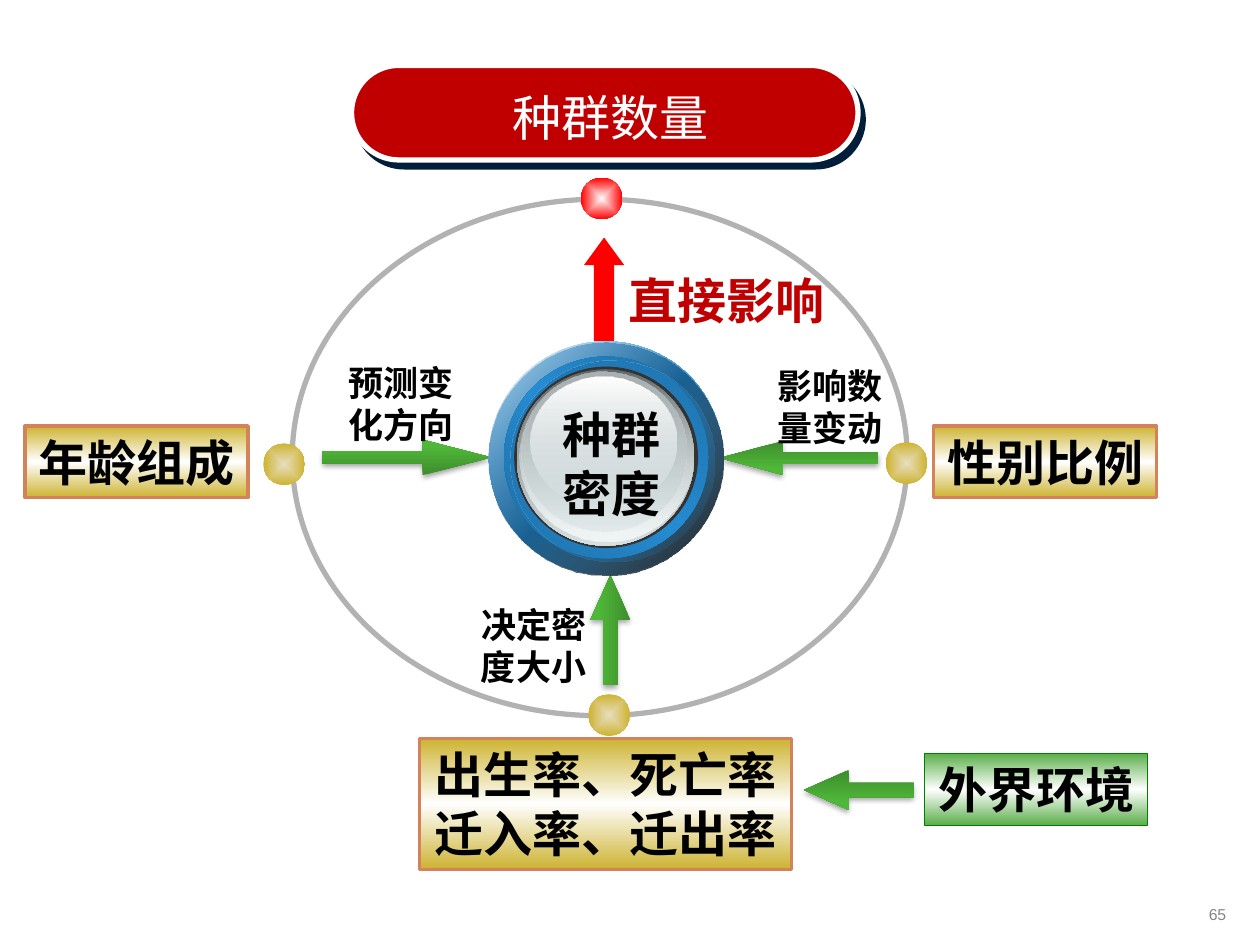
from dataclasses import dataclass
from typing import NamedTuple, Optional

from pptx import Presentation
from pptx.dml.color import RGBColor
from pptx.enum.shapes import MSO_SHAPE
from pptx.enum.text import MSO_ANCHOR, PP_ALIGN
from pptx.oxml import parse_xml
from pptx.oxml.ns import nsdecls, qn
from pptx.util import Pt

RECTANGLE, OVAL = MSO_SHAPE.RECTANGLE, MSO_SHAPE.OVAL
ARROW, PILL = MSO_SHAPE.RIGHT_ARROW, MSO_SHAPE.ROUNDED_RECTANGLE
TOP, MIDDLE = MSO_ANCHOR.TOP, MSO_ANCHOR.MIDDLE
CENTER, RIGHT = PP_ALIGN.CENTER, PP_ALIGN.RIGHT


@dataclass(frozen=True)
class Theme:
    font: str = "Noto Sans CJK SC"
    number_font: str = "Arial"
    large: float = 28
    small: float = 20
    tiny: float = 9
    line_height: float = 1.2
    black: str = "000000"
    white: str = "FFFFFF"
    crimson: str = "C00000"
    red: str = "FF0000"
    gold: str = "CDB331"
    pale_gold: str = "E8DEC1"
    copper: str = "D38259"
    leaf: str = "5BAE4A"
    green: str = "008000"
    ring: str = "B2B2B2"
    navy: str = "001D3A"
    number: str = "858585"
    blue: str = "268CD2"
    deep_blue: str = "1D6BA1"
    charcoal: str = "333333"
    silver: str = "D6E1E2"


THEME = Theme()


class Frame(NamedTuple):
    left: float
    top: float
    width: float
    height: float


class Stop(NamedTuple):
    position: int
    color: str
    opacity: int = 100


class Gradient(NamedTuple):
    stops: tuple
    angle: Optional[int] = None  # no angle: spreads from the centre


class Shadow(NamedTuple):
    color: str
    opacity: int
    blur: float
    distance: float
    angle: int


class Arrow(NamedTuple):
    frame: Frame
    head: float
    rotation: int
    shaft: float = 0.352
    red: bool = False


class Card(NamedTuple):
    frame: Frame
    text: str
    edge: str = THEME.copper
    line_width: float = 2
    tint: str = THEME.gold


class Label(NamedTuple):
    frame: Frame
    text: str
    size: float = THEME.small


def blend(start: str, end: str, angle: Optional[int] = None,
          start_opacity: int = 100, end_opacity: int = 100) -> Gradient:
    return Gradient((Stop(0, start, start_opacity), Stop(100, end, end_opacity)), angle)


def band(outer: str, inner: str, angle: int) -> Gradient:
    return Gradient((Stop(0, outer), Stop(50, inner), Stop(100, outer)), angle)


GREEN_FADE = Gradient((Stop(0, "3D8D2C"), Stop(80, "4FB739"), Stop(100, "4DBA37")), 270)
SOFT_SHADOW = Shadow(THEME.black, 35, 3.1, 1.8, 90)
HARD_SHADOW = Shadow(THEME.navy, 100, 0, 5, 53)


def color_xml(color: str, opacity: int) -> str:
    return f'<a:srgbClr val="{color}"><a:alpha val="{opacity * 1000}"/></a:srgbClr>'


def fill_gradient(shape, gradient: Gradient) -> None:
    stops = "".join(f'<a:gs pos="{stop.position * 1000}">{color_xml(stop.color, stop.opacity)}</a:gs>'
                    for stop in gradient.stops)
    if gradient.angle is None:
        direction = ('<a:path path="shape"><a:fillToRect l="50000" t="50000" '
                     'r="50000" b="50000"/></a:path>')
    else:
        direction = f'<a:lin ang="{gradient.angle * 60000}" scaled="0"/>'
    shape.element.spPr.find(qn("a:prstGeom")).addnext(parse_xml(
        f'<a:gradFill {nsdecls("a")} rotWithShape="1"><a:gsLst>{stops}</a:gsLst>'
        f'{direction}</a:gradFill>'))


def add_shadow(shape, shadow: Shadow) -> None:
    shape.element.spPr.find(qn("a:effectLst")).append(parse_xml(
        f'<a:outerShdw {nsdecls("a")} blurRad="{Pt(shadow.blur)}" dist="{Pt(shadow.distance)}" '
        f'dir="{shadow.angle * 60000}" algn="ctr" rotWithShape="0">'
        f'{color_xml(shadow.color, shadow.opacity)}</a:outerShdw>'))


def draw_shape(shapes, kind, frame: Frame, fill=None, edge: str = "", line_width: float = 0):
    """Fill with a gradient, a plain colour, or nothing."""
    shape = shapes.add_shape(kind, *map(Pt, frame))
    shape.shadow.inherit = False
    if isinstance(fill, Gradient):
        fill_gradient(shape, fill)
    elif fill:
        shape.fill.solid()
        shape.fill.fore_color.rgb = RGBColor.from_string(fill)
    else:
        shape.fill.background()
    if edge:
        shape.line.color.rgb = RGBColor.from_string(edge)
        shape.line.width = Pt(line_width)
    else:
        shape.line.fill.background()
    return shape


def write(shape, text: str, size: float, color: str = THEME.black, bold: bool = True,
          wrap: bool = False, anchor=MIDDLE, align=CENTER, font: str = THEME.font,
          insets: tuple = (7.2, 3.6, 7.2, 3.6)) -> None:
    frame = shape.text_frame
    frame.text = text
    frame.word_wrap = wrap
    frame.vertical_anchor = anchor
    frame.margin_left, frame.margin_top, frame.margin_right, frame.margin_bottom = map(Pt, insets)
    for para in frame.paragraphs:
        para.alignment = align
        para.space_before = Pt(0)
        para.line_spacing = Pt(size * THEME.line_height)
        for span in para.runs:
            span.font.size = Pt(size)
            span.font.bold = bold
            span.font.name = font
            span.font.color.rgb = RGBColor.from_string(color)
            span.font._element.find(qn("a:latin")).addnext(
                parse_xml(f'<a:ea {nsdecls("a")} typeface="{font}"/>'))


def draw_arrow(page, arrow: Arrow) -> None:
    shape = draw_shape(page.shapes, ARROW, arrow.frame, THEME.red if arrow.red else GREEN_FADE)
    shape.adjustments[0], shape.adjustments[1] = arrow.shaft, arrow.head
    shape.rotation = arrow.rotation
    if not arrow.red:
        add_shadow(shape, SOFT_SHADOW)


def draw_card(page, card: Card) -> None:
    shape = draw_shape(page.shapes, RECTANGLE, card.frame, band(card.tint, THEME.white, 90),
                       card.edge, card.line_width)
    write(shape, card.text, THEME.large)


def draw_label(page, label: Label) -> None:
    write(page.shapes.add_textbox(*map(Pt, label.frame)), label.text, label.size, wrap=True)


ARROWS = (
    Arrow(Frame(459.4, 439.9, 62.6, 23), 1.11, 180),
    Arrow(Frame(313.9, 155.5, 62.6, 23), 0.685, 270, 0.5, True),
    Arrow(Frame(317.5, 348.5, 62.6, 23), 1.11, 270),
    Arrow(Frame(411.1, 252, 90.7, 19.4), 1.873, 180),
    Arrow(Frame(184.3, 251.3, 96.5, 20.2), 1.939, 0),
)
CARDS = (
    Card(Frame(528.5, 430.6, 127.4, 41), "外界环境", THEME.green, 0.75, THEME.leaf),
    Card(Frame(533.5, 243.4, 127.4, 41), "性别比例"),
    Card(Frame(239.8, 421.9, 212.4, 74.9), "出生率、死亡率\n迁入率、迁出率"),
    Card(Frame(14.4, 243.4, 127.4, 41), "年龄组成"),
)
DOTS = ((150.5, 253.4, THEME.pale_gold, THEME.gold), (331.9, 101.5, THEME.white, THEME.red),
        (336.2, 396.7, THEME.pale_gold, THEME.gold), (506.2, 252.7, THEME.pale_gold, THEME.gold))
DOT_SIZE = 23.8
RIM = (
    (Frame(279.4, 195.1, 133.9, 133.2), band(THEME.white, THEME.blue, 45)),
    (Frame(279.4, 195.8, 133.9, 133.2), blend(THEME.blue, THEME.black, 45, 32, 90)),
    (Frame(288, 203.8, 116.6, 115.2), band(THEME.deep_blue, THEME.blue, 315)),
    (Frame(291.6, 205.9, 116.6, 115.2), blend("1F73AC", THEME.blue, 45, 100, 0)),
    (Frame(293.8, 209.5, 105.1, 103.7), THEME.charcoal),
)
GLASS = (
    (Frame(295.2, 211, 101.5, 100.8), blend("636869", THEME.silver, 90)),
    (Frame(296.6, 211.7, 99.4, 97.9), blend(THEME.silver, "F1F5F5", 90, 0)),
    (Frame(298.1, 212.4, 94.3, 91.4), blend("AAB2B3", THEME.silver, 90, 100, 48)),
    (Frame(303.1, 215.3, 83.5, 74.2), blend(THEME.white, THEME.silver, 90, 100, 38)),
)
LABELS = (
    Label(Frame(267.1, 341.3, 75.6, 55.4), "决定密度大小"),
    Label(Frame(302.4, 226.8, 94.3, 75.6), "种群密度", THEME.large),
    Label(Frame(183.6, 203, 91.4, 55.4), "预测变化方向"),
    Label(Frame(431.3, 204.5, 86.4, 55.4), "影响数量变动"),
)
HEADING_INSETS = (0, 4, 0, 0)


def main() -> None:
    deck = Presentation()
    deck.slide_width, deck.slide_height = Pt(720), Pt(540)
    page = deck.slides.add_slide(deck.slide_layouts[5])

    # Page number
    number = page.shapes.add_textbox(*map(Pt, Frame(563.8, 513.4, 144, 24.5)))
    write(number, "65", THEME.tiny, THEME.number, False, align=RIGHT, wrap=True,
          font=THEME.number_font, insets=(7.2, 3.6, 7.2, 10.4))

    # Arrows, orbit, factor cards and orbit dots
    for arrow in ARROWS:
        draw_arrow(page, arrow)
    draw_shape(page.shapes, OVAL, Frame(167, 113.8, 351.4, 295.2), None, THEME.ring, 3)
    for card in CARDS:
        draw_card(page, card)
    for left, top, inner, outer in DOTS:
        draw_shape(page.shapes, OVAL, Frame(left, top, DOT_SIZE, DOT_SIZE), blend(inner, outer))

    # Central button: rim, then glass
    for frame, fill in RIM:
        draw_shape(page.shapes, OVAL, frame, fill)
    glass = page.shapes.add_group_shape()
    for frame, fill in GLASS:
        draw_shape(glass.shapes, OVAL, frame, fill)

    # Labels
    for label in LABELS:
        draw_label(page, label)
    direct = page.shapes.add_textbox(*map(Pt, Frame(357, 150.5, 116, 32.4)))
    write(direct, "直接影响", THEME.large, THEME.crimson, anchor=TOP, insets=HEADING_INSETS)

    # Title on its pill
    pill = draw_shape(page.shapes, PILL, Frame(200.9, 37.4, 289.4, 54), THEME.crimson, THEME.white, 3)
    pill.adjustments[0] = 0.5
    add_shadow(pill, HARD_SHADOW)
    title = page.shapes.title
    title.left, title.top, title.width, title.height = map(Pt, Frame(275.8, 46.1, 146.2, 36.7))
    write(title, "种群数量", THEME.large, THEME.white, False, anchor=TOP, insets=HEADING_INSETS)
    title.element.getparent().append(title.element)

    deck.save("out.pptx")


if __name__ == "__main__":
    main()
